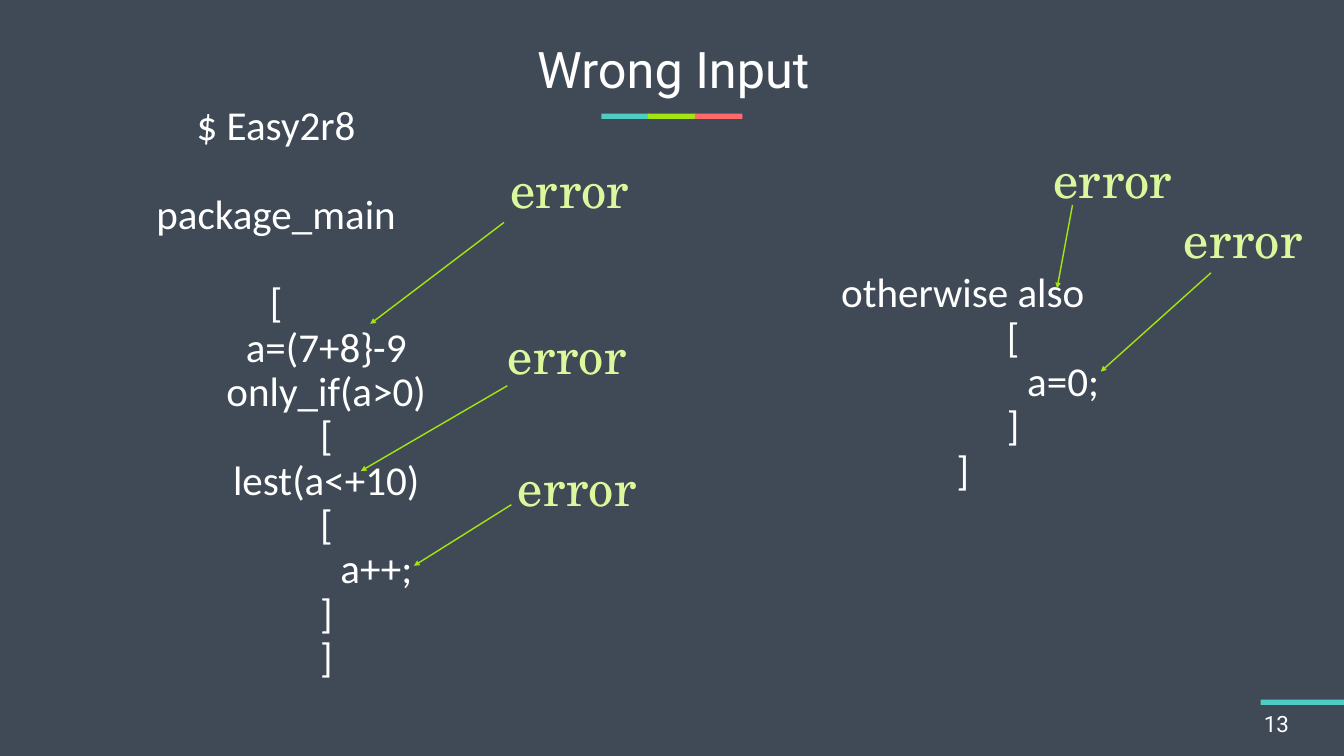
from typing import NamedTuple

from pptx import Presentation
from pptx.dml.color import RGBColor
from pptx.enum.shapes import MSO_CONNECTOR as Link, MSO_SHAPE as Form
from pptx.enum.text import MSO_ANCHOR as Anchor, MSO_AUTO_SIZE as Fit, PP_ALIGN as Align
from pptx.oxml.ns import qn
from pptx.oxml.xmlchemy import OxmlElement as Node
from pptx.util import Inches, Pt

SLATE = RGBColor(0x40, 0x4A, 0x56)
WHITE = RGBColor(0xFF, 0xFF, 0xFF)
TEAL = RGBColor(0x4E, 0xCD, 0xC4)
LIME = RGBColor(0xA3, 0xE5, 0x11)
CORAL = RGBColor(0xFF, 0x6B, 0x6B)
PALE = RGBColor(0xDB, 0xF8, 0x9D)

# Square grid: 100 columns across, 56.25 rows down
WIDTH, HEIGHT = Inches(20), Inches(11.25)
CELL = WIDTH // 100
TAB = 7.46      # columns per indent level
GAP = Pt(47.7)  # one skipped line of code


class Box(NamedTuple):
    col: float
    row: float
    wide: float
    high: float


class Font(NamedTuple):
    name: str
    size: float
    color: RGBColor


class Line(NamedTuple):
    text: str
    level: int = 0
    gap: bool = False


class Code(NamedTuple):
    box: Box
    lines: list[Line]


class Flag(NamedTuple):
    """An error label with the arrow to the faulty code."""
    label: tuple[float, float]
    start: tuple[float, float]
    end: tuple[float, float]


HEAD = Font("Roboto", 54, WHITE)
PAGE = Font("Roboto", 24, WHITE)
MONO = Font("Calibri", 44, WHITE)
ERROR = Font("TeX Gyre Schola", 54, PALE)

BARS = [(Box(44.75 + 3.48 * i, 8.45, 3.53, 0.4), color)
        for i, color in enumerate((TEAL, LIME, CORAL))]
BARS.append((Box(93.8, 52.05, 6.2, 0.4), TEAL))

CODES = [
    Code(Box(0, 7.45, 41.1, 47.7), [
        Line("$ Easy2r8"),
        Line("package_main", gap=True),
        Line("[", gap=True),
        Line("a=(7+8}-9", 1),
        Line("only_if(a>0)", 1),
        Line("[", 1),
        Line("lest(a<+10)", 1),
        Line("[", 1),
        Line("a++;", 2),
        Line("]", 1),
        Line("]", 1),
    ]),
    Code(Box(51.1, 6.7, 41.1, 47.7), [
        Line("otherwise also"),
        Line("[", 1),
        Line("a=0;", 2),
        Line("]", 1),
        Line("]"),
    ]),
]

FLAGS = [
    Flag((37.5, 11.5), (37.5, 16.55), (27.55, 24.1)),
    Flag((37.3, 23.9), (37.75, 28.7), (26.85, 35.05)),
    Flag((38.05, 33.7), (38.05, 37.55), (30.8, 42.1)),
    Flag((87.6, 15.25), (90.1, 20.3), (81.9, 27.65)),
    Flag((77.9, 10.75), (79.8, 15.25), (78.65, 21.45)),
]


def grid(*cells: float) -> list[int]:
    return [round(n * CELL) for n in cells]


def move(shape, box: Box) -> None:
    shape.left, shape.top, shape.width, shape.height = grid(*box)


def write(para, text: str, font: Font) -> None:
    run = para.add_run()
    run.text = text
    run.font.name = font.name
    run.font.size = Pt(font.size)
    run.font.color.rgb = font.color


def add_bar(slide, box: Box, color: RGBColor) -> None:
    bar = slide.shapes.add_shape(Form.RECTANGLE, *grid(*box))
    bar.shadow.inherit = False
    bar.fill.solid()
    bar.fill.fore_color.rgb = color
    bar.line.fill.background()


def add_label(slide, box: Box, text: str, font: Font, anchor: Anchor, fit: Fit) -> None:
    frame = slide.shapes.add_textbox(*grid(*box)).text_frame
    frame.word_wrap = False
    frame.auto_size = fit
    frame.vertical_anchor = anchor
    write(frame.paragraphs[0], text, font)


def set_title(shape, text: str) -> None:
    move(shape, Box(2.7, 1.9, 94.8, 7))
    frame = shape.text_frame
    frame.auto_size = Fit.NONE
    frame.vertical_anchor = Anchor.MIDDLE
    para = frame.paragraphs[0]
    para.alignment = Align.CENTER
    para.line_spacing = 0.9
    write(para, text, HEAD)


def set_code(shape, code: Code) -> None:
    move(shape, code.box)
    frame = shape.text_frame
    frame.auto_size = Fit.NONE
    frame.vertical_anchor = Anchor.MIDDLE
    frame.margin_bottom = Inches(0.87)
    for i, line in enumerate(code.lines):
        para = frame.add_paragraph() if i else frame.paragraphs[0]
        para.alignment = Align.CENTER
        para.line_spacing = 0.9
        para.space_before = GAP if line.gap else Pt(0)
        props = para._p.get_or_add_pPr()
        props.set("marL", str(grid(line.level * TAB)[0]))
        props.set("indent", "0")
        props.append(Node("a:buNone"))
        write(para, line.text, MONO)


def add_arrow(slide, start: tuple[float, float], end: tuple[float, float]) -> None:
    arrow = slide.shapes.add_connector(Link.STRAIGHT, *grid(*start, *end))
    arrow.line.color.rgb = LIME
    arrow.line.width = Pt(1.5)
    tip = Node("a:tailEnd")
    tip.set("type", "triangle")
    props = arrow._element.spPr
    props.find(qn("a:ln")).append(tip)
    props.append(Node("a:effectLst"))


def main() -> None:
    deck = Presentation()
    deck.slide_width, deck.slide_height = WIDTH, HEIGHT
    slide = deck.slides.add_slide(deck.slide_layouts[3])
    slide.background.fill.solid()
    slide.background.fill.fore_color.rgb = SLATE

    # Title and the two columns of code
    title, *bodies = slide.placeholders
    set_title(title, "Wrong Input")
    for body, code in zip(bodies, CODES):
        set_code(body, code)

    # Accent bars and page number
    for box, color in BARS:
        add_bar(slide, box, color)
    add_label(slide, Box(93.55, 52.5, 6.45, 2.65), "13", PAGE, Anchor.MIDDLE, Fit.NONE)

    # Error labels with arrows
    for flag in FLAGS:
        add_label(slide, Box(*flag.label, 10, 5.05), "error", ERROR, Anchor.TOP,
                  Fit.SHAPE_TO_FIT_TEXT)
        add_arrow(slide, flag.start, flag.end)

    deck.save("out.pptx")


if __name__ == "__main__":
    main()
